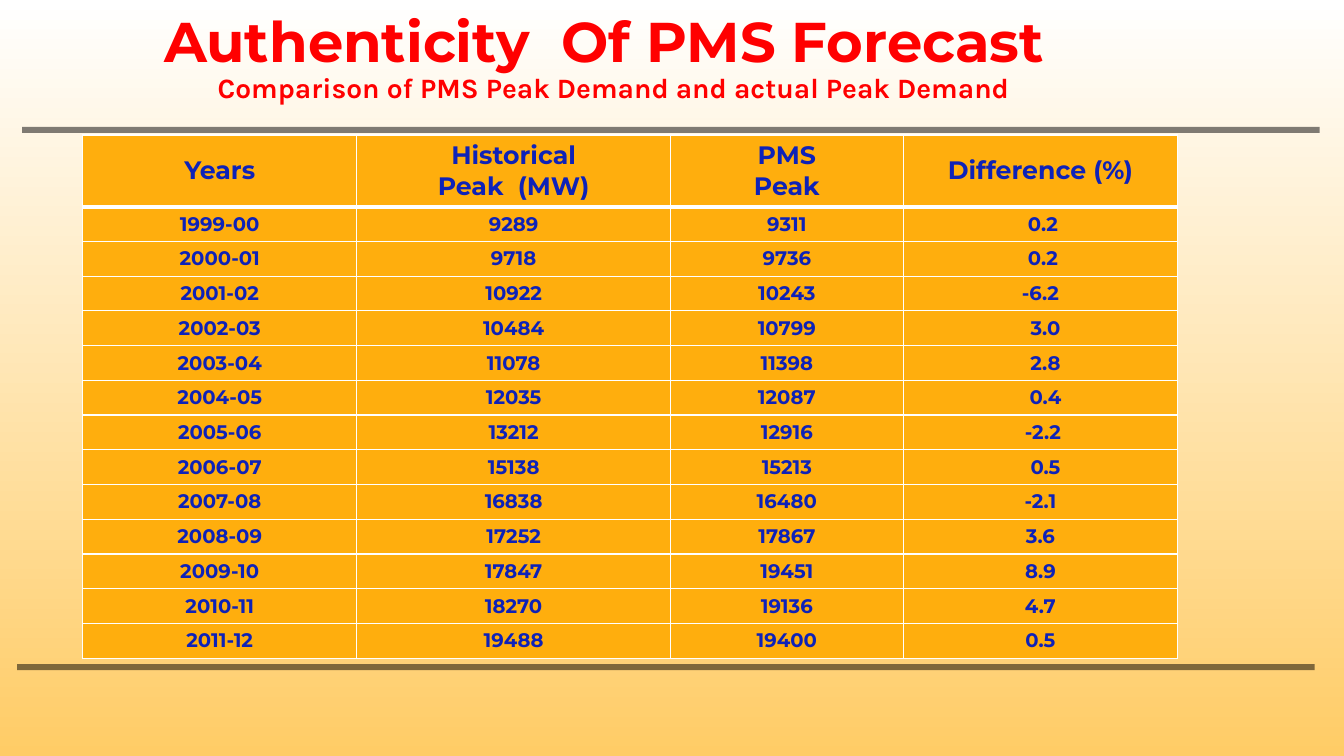
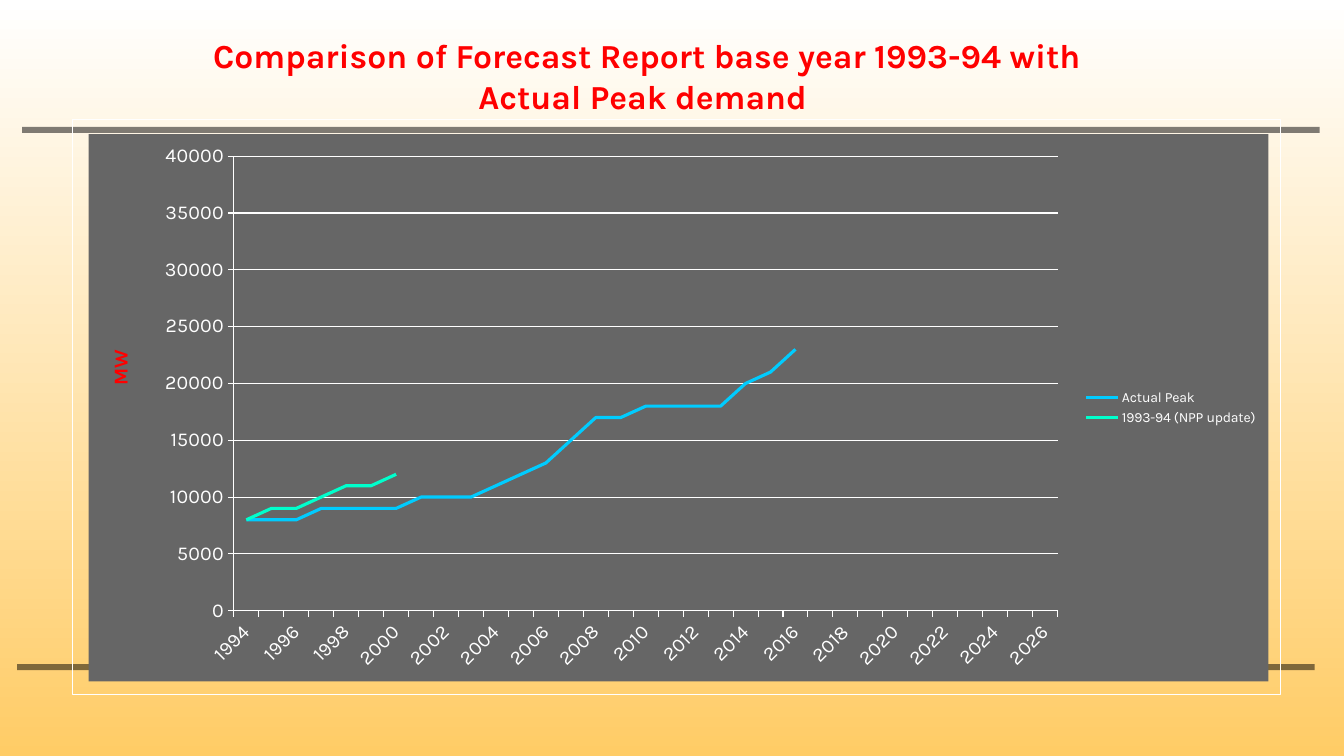
from dataclasses import dataclass

from lxml import etree
from pptx import Presentation
from pptx.chart.data import CategoryChartData
from pptx.dml.color import RGBColor
from pptx.enum.chart import XL_CHART_TYPE, XL_LEGEND_POSITION, XL_TICK_MARK
from pptx.enum.shapes import MSO_SHAPE
from pptx.enum.text import MSO_ANCHOR, PP_ALIGN
from pptx.oxml import parse_xml
from pptx.oxml.ns import nsdecls, qn
from pptx.util import Inches, Pt

LEFT, CENTER, MIDDLE = PP_ALIGN.LEFT, PP_ALIGN.CENTER, MSO_ANCHOR.MIDDLE
RECT, LINE = MSO_SHAPE.RECTANGLE, XL_CHART_TYPE.LINE
LEGEND_RIGHT, TICK_OUT = XL_LEGEND_POSITION.RIGHT, XL_TICK_MARK.OUTSIDE


@dataclass(frozen=True)
class Theme:
    head_font: str = "Montserrat"
    text_font: str = "Karla"
    title: str = "FF0000"
    table_text: str = "0E22B8"
    table_fill: str = "FFAE0D"
    white: str = "FFFFFF"
    black: str = "000000"
    page_end: str = "FFCC66"
    chart_fill: str = "666666"
    title_size: int = 40
    chart_title_size: int = 24
    subtitle_size: int = 20
    header_size: int = 18
    body_size: int = 14
    legend_size: int = 10


T = Theme()

# Content
FORECAST_TITLE = "Authenticity  Of PMS Forecast"
FORECAST_SUBTITLE = "Comparison of PMS Peak Demand and actual Peak Demand"
CHART_TITLE = ("Comparison of Forecast Report base year 1993-94 with "
               "Actual Peak demand ")

HEADERS = ["Years", "Historical\nPeak  (MW)", "PMS\nPeak", "Difference (%)"]
# Year, historical peak, forecast peak, difference, indent steps of difference
PEAKS = [
    ("1999-00", "9289", "9311", "0.2", 1),
    ("2000-01", "9718", "9736", "0.2", 1),
    ("2001-02", "10922", "10243", "-6.2", 0),
    ("2002-03", "10484", "10799", "3.0", 2),
    ("2003-04", "11078", "11398", "2.8", 2),
    ("2004-05", "12035", "12087", "0.4", 2),
    ("2005-06", "13212", "12916", "-2.2", 1),
    ("2006-07", "15138", "15213", "0.5", 2),
    ("2007-08", "16838", "16480", "-2.1", 0),
    ("2008-09", "17252", "17867", "3.6", 0),
    ("2009-10", "17847", "19451", "8.9", 0),
    ("2010-11", "18270", "19136", "4.7", 0),
    ("2011-12", "19488", "19400", "0.5", 0),
]

YEARS = range(1994, 2027)
SERIES = [
    ("Actual Peak", "00CCFF",
     [8000, 8000, 8000, 9000, 9000, 9000, 9000, 10000, 10000, 10000, 11000,
      12000, 13000, 15000, 17000, 17000, 18000, 18000, 18000, 18000, 20000,
      21000, 23000]),
    ("1993-94 (NPP update)", "00FFCC",
     [8000, 9000, 9000, 10000, 11000, 11000, 12000]),
]

# Places: left, top, width, height
BANDS = [(0.22, 1.26, 12.87, 0.06), (0.17, 6.59, 12.87, 0.06)]
TABLE_BOX = (0.82, 1.34, 10.86, 5.19)
COLUMNS = [2.72, 3.11, 2.31, 2.72]
HEADER_HEIGHT = 0.71
CELL_MARGIN, INDENT_STEP = 0.1, 0.05
CHART_BOX = (0.88, 1.33, 11.7, 5.43)
PLOT_BOX = (2.32, 1.55, 8.17, 4.51)
AXIS_TITLE_AT = (1.03, 3.43)


# Helpers
def rgb(color):
    return RGBColor.from_string(color)


def style_font(font, size, color, name, bold=False):
    font.size, font.name, font.bold = Pt(size), name, bold
    font.color.rgb = rgb(color)


def write(tf, text, size, color, name, align):
    for i, line in enumerate(text.split("\n")):
        p = tf.paragraphs[0] if i == 0 else tf.add_paragraph()
        p.alignment = align
        r = p.add_run()
        r.text = line
        style_font(r.font, size, color, name, True)


def add_text(slide, box, text, size, name, align=LEFT):
    tf = slide.shapes.add_textbox(*map(Inches, box)).text_frame
    tf.word_wrap = True
    write(tf, text, size, T.title, name, align)


def add_rect(slide, box):
    sp = slide.shapes.add_shape(RECT, *map(Inches, box))
    sp.shadow.inherit = False
    return sp


def new_slide(prs):
    slide = prs.slides.add_slide(prs.slide_layouts[6])
    for box in BANDS:
        sp = add_rect(slide, box)
        sp.fill.solid()
        sp.fill.fore_color.rgb = rgb(T.black)
        sp.line.fill.background()
        color = sp.element.spPr.find(".//" + qn("a:srgbClr"))
        etree.SubElement(color, qn("a:alpha"), val="50000")
    return slide


def set_borders(cell, bottom):
    tc_pr = cell._tc.get_or_add_tcPr()
    for side, width in zip("LRTB", (1, 1, 1, bottom)):
        tc_pr.append(parse_xml(
            f'<a:ln{side} {nsdecls("a")} w="{Pt(width)}"><a:solidFill>'
            f'<a:srgbClr val="{T.white}"/></a:solidFill></a:ln{side}>'))


def set_layout(parent, index, box, target=""):
    """Place a chart part by its slide position in inches."""
    old = parent.find(qn("c:layout"))
    if old is not None:
        parent.remove(old)
    left, top, width, height = CHART_BOX
    origins, spans = (left, top, 0, 0), (width, height, width, height)
    layout = etree.Element(qn("c:layout"))
    manual = etree.SubElement(layout, qn("c:manualLayout"))
    settings = {"layoutTarget": target} if target else {}
    settings.update(xMode="edge", yMode="edge")
    for tag, value, origin, span in zip("xywh", box, origins, spans):
        settings[tag] = (value - origin) / span
    for tag, value in settings.items():
        etree.SubElement(manual, qn("c:" + tag), val=str(value))
    parent.insert(index, layout)


def fill_xml():
    return parse_xml(
        f'<c:spPr {nsdecls("c", "a")}><a:solidFill>'
        f'<a:srgbClr val="{T.chart_fill}"/></a:solidFill>'
        '<a:ln><a:noFill/></a:ln></c:spPr>')


# Slides
def forecast_slide(prs):
    slide = new_slide(prs)
    table = slide.shapes.add_table(len(PEAKS) + 1, len(COLUMNS),
                                   *map(Inches, TABLE_BOX)).table
    for column, width in zip(table.columns, COLUMNS):
        column.width = Inches(width)
    body_height = (TABLE_BOX[3] - HEADER_HEIGHT) / len(PEAKS)
    for i, (*texts, steps) in enumerate([(*HEADERS, 0)] + PEAKS):
        table.rows[i].height = Inches(body_height if i else HEADER_HEIGHT)
        size = T.body_size if i else T.header_size
        for j, text in enumerate(texts):
            cell = table.cell(i, j)
            set_borders(cell, 1 if i else 3)
            cell.fill.solid()
            cell.fill.fore_color.rgb = rgb(T.table_fill)
            cell.vertical_anchor = MIDDLE
            write(cell.text_frame, text, size, T.table_text, T.head_font, CENTER)
        cell.margin_left = Inches(CELL_MARGIN + steps * INDENT_STEP)
    add_text(slide, (1.53, 0.02, 9.47, 0.77), FORECAST_TITLE,
             T.title_size, T.head_font)
    add_text(slide, (2.06, 0.65, 8.52, 0.44), FORECAST_SUBTITLE,
             T.subtitle_size, T.text_font)


def style_axis(axis):
    axis.major_tick_mark = TICK_OUT
    axis.format.line.color.rgb = rgb(T.white)
    style_font(axis.tick_labels.font, T.body_size, T.white, T.text_font)


def chart_slide(prs):
    slide = new_slide(prs)
    add_text(slide, (1.67, 0.3, 9.49, 0.91), CHART_TITLE,
             T.chart_title_size, T.text_font, CENTER)
    frame = add_rect(slide, (0.72, 1.19, 11.98, 5.7))
    frame.fill.background()
    frame.line.color.rgb = rgb(T.white)
    frame.line.width = Pt(0.75)

    data = CategoryChartData()
    data.categories = [str(year) for year in YEARS]
    for name, _, values in SERIES:
        data.add_series(name, values + [None] * (len(YEARS) - len(values)))
    chart = slide.shapes.add_chart(LINE, *map(Inches, CHART_BOX), data).chart
    chart.has_title = False
    style_font(chart.font, T.legend_size, T.white, T.text_font)
    chart.has_legend = True
    chart.legend.position = LEGEND_RIGHT
    chart.legend.include_in_layout = False
    style_font(chart.legend.font, T.legend_size, T.white, T.text_font)
    for series, (_, color, _) in zip(chart.plots[0].series, SERIES):
        series.smooth = False
        series.format.line.color.rgb = rgb(color)
        series.format.line.width = Pt(2.25)

    # Axes
    years, demand = chart.category_axis, chart.value_axis
    style_axis(years)
    style_axis(demand)
    demand.minimum_scale, demand.maximum_scale = 0, 40000
    demand.major_unit = 5000
    demand.has_major_gridlines = True
    demand.major_gridlines.format.line.color.rgb = rgb(T.white)
    write(demand.axis_title.text_frame, "MW", T.body_size, T.title,
          T.text_font, CENTER)

    # Label angles and steps, plot area and fills
    root = chart.element
    cat_ax = root.find(".//" + qn("c:catAx"))
    cat_ax.find(qn("c:txPr")).find(qn("a:bodyPr")).set("rot", "-2700000")
    skip = etree.Element(qn("c:tickLblSkip"), val="2")
    cat_ax.find(qn("c:noMultiLvlLbl")).addprevious(skip)
    title = root.find(".//" + qn("c:valAx")).find(qn("c:title"))
    body = title.find(".//" + qn("a:bodyPr"))
    body.set("rot", "-5400000")
    body.set("vert", "horz")
    set_layout(title, 1, AXIS_TITLE_AT)
    plot = root.find(".//" + qn("c:plotArea"))
    set_layout(plot, 0, PLOT_BOX, "inner")
    plot.append(fill_xml())
    root.find(qn("c:chart")).addnext(fill_xml())


def main():
    prs = Presentation()
    prs.slide_width, prs.slide_height = Inches(13.33), Inches(7.5)
    page = prs.slide_master.background.fill
    page.gradient()
    page.gradient_angle = 270
    for stop, color in zip(page.gradient_stops, (T.white, T.page_end)):
        stop.color.rgb = rgb(color)
    forecast_slide(prs)
    chart_slide(prs)
    prs.save("out.pptx")


if __name__ == "__main__":
    main()
